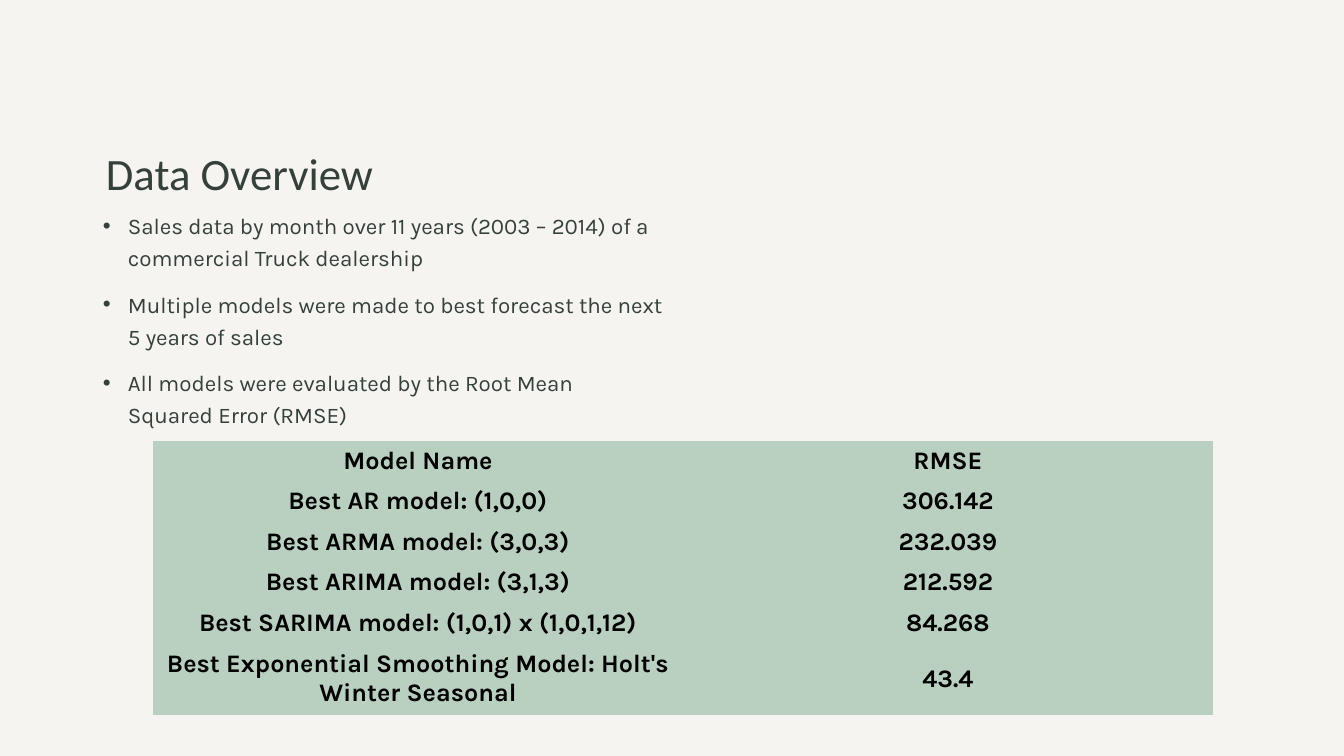
from lxml.etree import SubElement
from pptx import Presentation
from pptx.dml.color import RGBColor
from pptx.enum.shapes import MSO_SHAPE
from pptx.enum.text import MSO_ANCHOR, PP_ALIGN
from pptx.oxml.ns import qn
from pptx.util import Emu, Pt

# Content
TITLE = "Data Overview"
BULLETS = [
    "Sales data by month over 11 years (2003 – 2014) of a commercial Truck dealership",
    "Multiple models were made to best forecast the next 5 years of sales",
    "All models were evaluated by the Root Mean Squared Error (RMSE)",
]
MODEL_ROWS = [
    ("Model Name", "RMSE"),
    ("Best AR model: (1,0,0)", "306.142"),
    ("Best ARMA model: (3,0,3)", "232.039"),
    ("Best ARIMA model: (3,1,3)", "212.592"),
    ("Best SARIMA model: (1,0,1) x (1,0,1,12)", "84.268"),
    ("Best Exponential Smoothing Model: Holt's Winter Seasonal", "43.4"),
]

# Look
THEME = {
    "tint": RGBColor.from_string("C0B7A5"),
    "tint_alpha": 15,
    "cell": RGBColor.from_string("B9D0C1"),
    "title": {"name": "Calibri", "size": Pt(32), "color": "35403A"},
    "body": {"name": "Karla", "size": Pt(16), "color": "35403A"},
    "table": {"name": "Karla", "size": Pt(18), "color": "000000", "bold": True},
}
NO_STYLE_NO_GRID = "{2D5ABB26-0587-4C30-8999-92F81FD0307C}"

# Layout in px: left, top, width, height
SLIDE_SIZE = (1344, 756)
TITLE_BOX = (96, 65, 1152, 139)
BODY_BOX = (93, 202, 580, 480)
TABLE_BOX = (153, 441, 1060, 267)
ROW_HEIGHT = 39
BULLET_INDENT = 25


def px(length):
    return Emu(round(length * 914400 / 100.8))


def place(box):
    return [px(length) for length in box]


def write(paragraph, text, style, **formats):
    run = paragraph.add_run()
    run.text = text
    for name, value in style.items():
        if name == "color":
            run.font.color.rgb = RGBColor.from_string(value)
        else:
            setattr(run.font, name, value)
    for name, value in formats.items():
        setattr(paragraph, name, value)


def add_text_frame(slide, box, anchor):
    text_frame = slide.shapes.add_textbox(*place(box)).text_frame
    text_frame.word_wrap = True
    text_frame.vertical_anchor = anchor
    return text_frame


def add_bullet(paragraph):
    properties = paragraph._p.get_or_add_pPr()
    properties.set("marL", str(px(BULLET_INDENT)))
    properties.set("indent", str(-px(BULLET_INDENT)))
    SubElement(properties, qn("a:buFont"), typeface="Arial")
    SubElement(properties, qn("a:buChar"), char="•")


def add_background(slide):
    tint = slide.shapes.add_shape(MSO_SHAPE.RECTANGLE, *place((0, 0, *SLIDE_SIZE)))
    tint.shadow.inherit = False
    tint.line.fill.background()
    tint.fill.solid()
    tint.fill.fore_color.rgb = THEME["tint"]
    color = next(tint._element.spPr.iter(qn("a:srgbClr")))
    SubElement(color, qn("a:alpha"), val=str(THEME["tint_alpha"] * 1000))


def add_model_table(slide):
    columns = len(MODEL_ROWS[0])
    frame = slide.shapes.add_table(len(MODEL_ROWS), columns, *place(TABLE_BOX))
    table = frame.table
    table.first_row = table.horz_banding = False
    next(table._tbl.iter(qn("a:tableStyleId"))).text = NO_STYLE_NO_GRID

    # Equal rows; the last one takes the height that is left
    last = len(MODEL_ROWS) - 1
    for index, row in enumerate(table.rows):
        height = TABLE_BOX[3] - last * ROW_HEIGHT if index == last else ROW_HEIGHT
        row.height = px(height)
        for cell, text in zip(row.cells, MODEL_ROWS[index]):
            cell.fill.solid()
            cell.fill.fore_color.rgb = THEME["cell"]
            cell.vertical_anchor = MSO_ANCHOR.MIDDLE
            write(cell.text_frame.paragraphs[0], text, THEME["table"],
                  alignment=PP_ALIGN.CENTER)


def main():
    presentation = Presentation()
    presentation.slide_width, presentation.slide_height = place(SLIDE_SIZE)
    slide = presentation.slides.add_slide(presentation.slide_layouts[6])
    add_background(slide)

    # Title
    title_frame = add_text_frame(slide, TITLE_BOX, MSO_ANCHOR.BOTTOM)
    write(title_frame.paragraphs[0], TITLE, THEME["title"])

    # Bullets
    body_frame = add_text_frame(slide, BODY_BOX, MSO_ANCHOR.TOP)
    for index, text in enumerate(BULLETS):
        paragraph = body_frame.add_paragraph() if index else body_frame.paragraphs[0]
        write(paragraph, text, THEME["body"], line_spacing=1.2, space_before=Pt(10))
        add_bullet(paragraph)

    add_model_table(slide)
    presentation.save("out.pptx")


if __name__ == "__main__":
    main()
